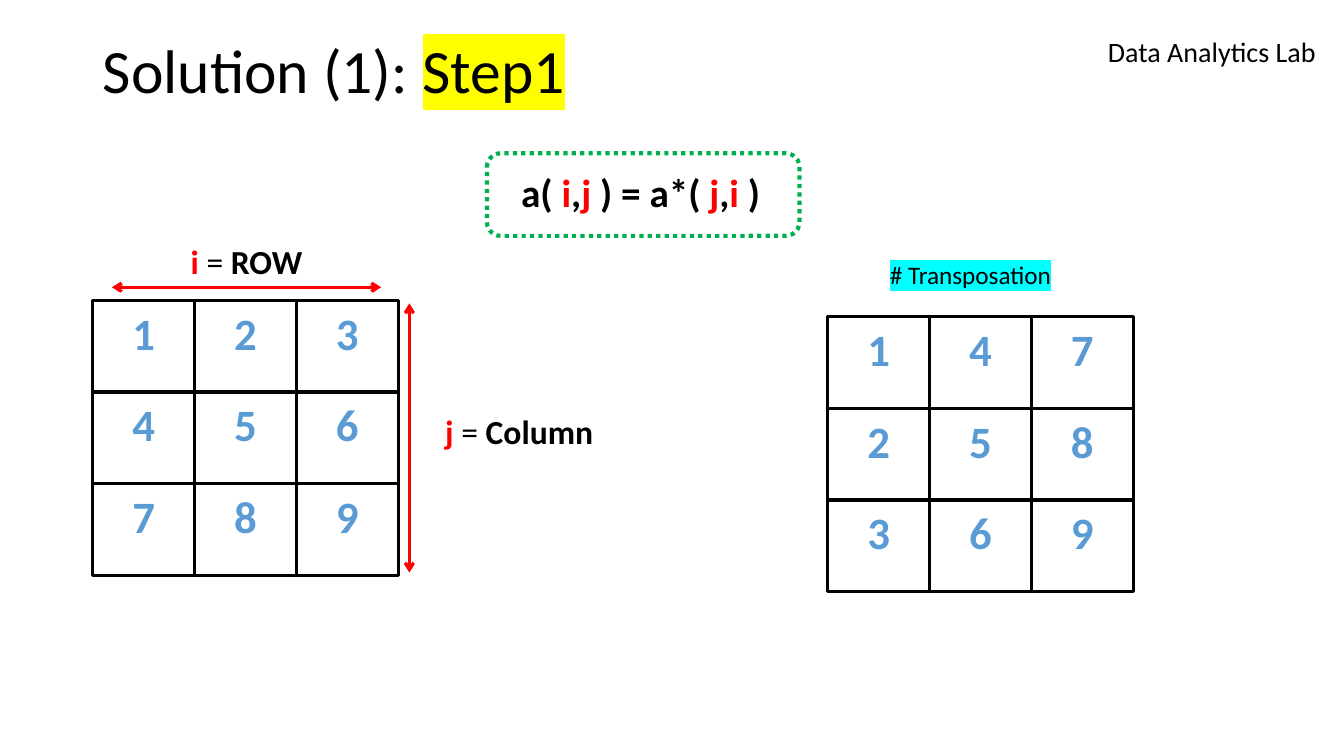
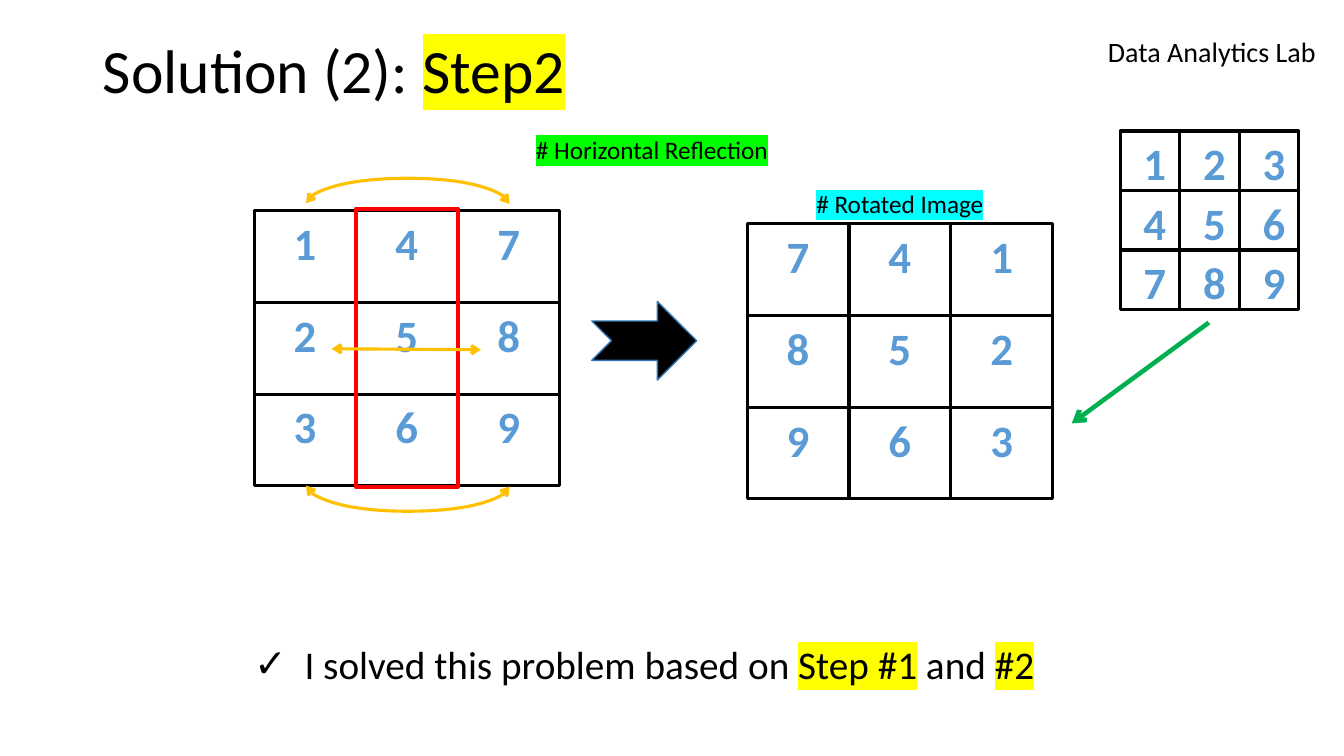
"""Builds two slides that rotate a 3 x 3 matrix by transposing and reflecting it."""
import lxml.etree
import pptx
import pptx.dml.color
import pptx.enum.dml
import pptx.enum.shapes
import pptx.enum.text
import pptx.oxml.ns
import pptx.util

PX = 9144
RGB = pptx.dml.color.RGBColor
BLACK = RGB(0x00, 0x00, 0x00)
RED = RGB(0xFF, 0x00, 0x00)
GREEN = RGB(0x00, 0xB0, 0x50)
ORANGE = RGB(0xFF, 0xC0, 0x00)
DIGIT_BLUE = RGB(0x5B, 0x9B, 0xD5)
EDGE_BLUE = RGB(0x2E, 0x75, 0xB6)
YELLOW = RGB(0xFF, 0xFF, 0x00)
CYAN = RGB(0x00, 0xFF, 0xFF)
LIME = RGB(0x00, 0xFF, 0x00)

SHAPE = pptx.enum.shapes.MSO_SHAPE
CONNECTOR = pptx.enum.shapes.MSO_CONNECTOR
ALIGN = pptx.enum.text.PP_ALIGN
ANCHOR = pptx.enum.text.MSO_ANCHOR

MATRIX = [(1, 2, 3), (4, 5, 6), (7, 8, 9)]
TRANSPOSED = list(zip(*MATRIX))
ROTATED = [row[::-1] for row in TRANSPOSED]


def px(*lengths):
    return [pptx.util.Emu(length * PX) for length in lengths]


def assign(target, values):
    for name, value in values.items():
        setattr(target, name, value)


def add_child(parent, tag, **attributes):
    child = lxml.etree.SubElement(parent, pptx.oxml.ns.qn(tag))
    for name, value in attributes.items():
        child.set(name, value)
    return child


def write(frame, runs, size, align=ALIGN.LEFT, anchor=ANCHOR.TOP, insets=(10, 5, 10, 5)):
    """Fill a text frame with runs of (text, style); return its paragraph."""
    left, top, right, bottom = px(*insets)
    assign(frame, {
        "word_wrap": True, "auto_size": pptx.enum.text.MSO_AUTO_SIZE.NONE,
        "vertical_anchor": anchor, "margin_left": left, "margin_top": top,
        "margin_right": right, "margin_bottom": bottom,
    })
    paragraph = frame.paragraphs[0]
    assign(paragraph, {"alignment": align, "space_before": pptx.util.Pt(0)})
    for text, style in runs:
        run = paragraph.add_run()
        run.text = text
        run.font.color.rgb = style.get("color", BLACK)
        assign(run.font, {"name": "Calibri", "size": pptx.util.Pt(size),
                          "bold": style.get("bold", False)})
        if "highlight" in style:
            marker = add_child(run.font.fill._xPr, "a:highlight")
            add_child(marker, "a:srgbClr", val=str(style["highlight"]))
            run.font.fill._xPr.find(pptx.oxml.ns.qn("a:latin")).addprevious(marker)
    return paragraph


def add_label(slide, box, runs, size, align=ALIGN.CENTER):
    label = slide.shapes.add_textbox(*px(*box))
    write(label.text_frame, runs, size, align)
    return label


def add_outline(slide, kind, box, color, width, fill=None):
    outline = slide.shapes.add_shape(kind, *px(*box))
    outline.shadow.inherit = False
    if fill is None:
        outline.fill.background()
    else:
        outline.fill.solid()
        outline.fill.fore_color.rgb = fill
    outline.line.color.rgb = color
    outline.line.width = pptx.util.Pt(width)
    return outline


def add_grid(slide, rows, left, top, cell=(101, 91), **text_format):
    """Draw a matrix as a grid of outlined cells."""
    width, height = cell
    for r, row in enumerate(rows):
        for c, digit in enumerate(row):
            box = (left + c * width, top + r * height, width, height)
            square = add_outline(slide, SHAPE.RECTANGLE, box, BLACK, 2.25)
            write(square.text_frame, [(str(digit), {"color": DIGIT_BLUE, "bold": True})],
                  32, ALIGN.CENTER, **text_format)


def add_arrow(slide, ends, color, width=2.25, double=True, kind=CONNECTOR.STRAIGHT):
    arrow = slide.shapes.add_connector(kind, *px(*ends))
    arrow.line.color.rgb = color
    arrow.line.width = pptx.util.Pt(width)
    stroke = arrow.line._get_or_add_ln()
    if double:
        add_child(stroke, "a:headEnd", type="arrow")
    add_child(stroke, "a:tailEnd", type="arrow")
    add_child(arrow.element.spPr, "a:effectLst")
    return arrow


def add_swap_arc(slide, center, y, span, bulge, degrees):
    """Draw a double-headed arc by turning a one-px-wide curved connector."""
    ends = (center, y + span // 2, center + 1, y - span // 2)
    properties = add_arrow(slide, ends, ORANGE, kind=CONNECTOR.CURVE).element.spPr
    properties.find(pptx.oxml.ns.qn("a:xfrm")).set("rot", str(degrees * 60000))
    geometry = properties.find(pptx.oxml.ns.qn("a:prstGeom"))
    guides = geometry.find(pptx.oxml.ns.qn("a:avLst"))
    if guides is None:
        guides = add_child(geometry, "a:avLst")
    add_child(guides, "a:gd", name="adj1", fmla=f"val {bulge * 100000}")


def place(placeholder, box):
    assign(placeholder, dict(zip(("left", "top", "width", "height"), px(*box))))


def add_slide(deck, layout, number):
    slide = deck.slides.add_slide(deck.slide_layouts.get_by_name(layout))
    title = slide.shapes.title
    place(title, (92, 0, 1150, 145))
    heading = write(title.text_frame, [(f"Solution ({number}): ", {}),
                                       (f"Step{number}", {"highlight": YELLOW})],
                    44, anchor=ANCHOR.MIDDLE)
    heading.line_spacing = 0.9
    return slide


def add_lab_name(deck, slide):
    """Put the lab name on the master so that every slide shows it."""
    lab = add_label(slide, (1089, 29, 235, 44), [("Data Analytics Lab", {})], 20, ALIGN.LEFT)
    deck.slide_master.shapes.element.append(lab.element)


def add_axis_label(slide, box, index, meaning):
    add_label(slide, box, [(index, {"color": RED, "bold": True}), (" = ", {}),
                           (meaning, {"bold": True})], 24)


def add_tag(slide, box, text, highlight):
    add_label(slide, box, [(text, {"highlight": highlight})], 18)


def add_formula(slide):
    frame = add_outline(slide, SHAPE.ROUNDED_RECTANGLE, (483, 152, 310, 82), GREEN, 3)
    frame.line.dash_style = pptx.enum.dml.MSO_LINE.ROUND_DOT
    parts = ["a( ", "i", ",", "j ", ") = a*( ", "j", ",", "i ", ")"]
    runs = [(part, {"bold": True, "color": RED if part.strip() in ("i", "j") else BLACK})
            for part in parts]
    write(frame.text_frame, runs, 28, anchor=ANCHOR.MIDDLE, insets=(30, 0, 0, 5))


def build_transposition(deck):
    slide = add_slide(deck, "Title Only", 1)
    add_lab_name(deck, slide)
    add_grid(slide, MATRIX, 92, 298)
    add_axis_label(slide, (173, 234, 143, 50), "i", "ROW")
    add_axis_label(slide, (416, 403, 198, 50), "j", "Column")
    add_arrow(slide, (406, 301, 406, 568), RED)
    add_arrow(slide, (378, 285, 111, 285), RED)
    add_grid(slide, TRANSPOSED, 821, 314)
    add_tag(slide, (865, 252, 195, 40), "# Transposation", CYAN)
    add_formula(slide)


def build_reflection(deck):
    slide = add_slide(deck, "Title and Content", 2)
    add_grid(slide, TRANSPOSED, 252, 209)
    add_tag(slide, (476, 128, 341, 40), "# Horizontal Reflection", LIME)
    add_outline(slide, SHAPE.RECTANGLE, (353, 207, 101, 276), RED, 3)
    add_swap_arc(slide, 404, 482, 202, 26, 90)
    add_swap_arc(slide, 404, 202, 202, 26, 270)
    add_arrow(slide, (329, 346, 477, 347), ORANGE)
    add_outline(slide, SHAPE.NOTCHED_RIGHT_ARROW, (587, 299, 104, 78), EDGE_BLUE, 1, BLACK)
    add_grid(slide, ROTATED, 741, 222)
    add_tag(slide, (722, 182, 341, 40), "# Rotated Image", CYAN)
    add_grid(slide, MATRIX, 1111, 130, (59, 59), anchor=ANCHOR.TOP, insets=(10, 5, 0, 0))
    add_arrow(slide, (1199, 320, 1063, 420), GREEN, 3.25, double=False)

    conclusion = slide.placeholders[1]
    place(conclusion, (242, 630, 795, 57))
    marked = {"highlight": YELLOW}
    line = write(conclusion.text_frame, [("I solved this problem based on ", {}),
                                         ("Step #1", marked), (" and ", {}), ("#2", marked)], 28)
    properties = line._p.get_or_add_pPr()
    properties.set("marL", str(50 * PX))
    properties.set("indent", str(-50 * PX))
    add_child(properties, "a:buChar", char="✓")


def main():
    deck = pptx.Presentation()
    deck.slide_width, deck.slide_height = px(1333, 750)
    build_transposition(deck)
    build_reflection(deck)
    deck.save("out.pptx")


if __name__ == "__main__":
    main()
